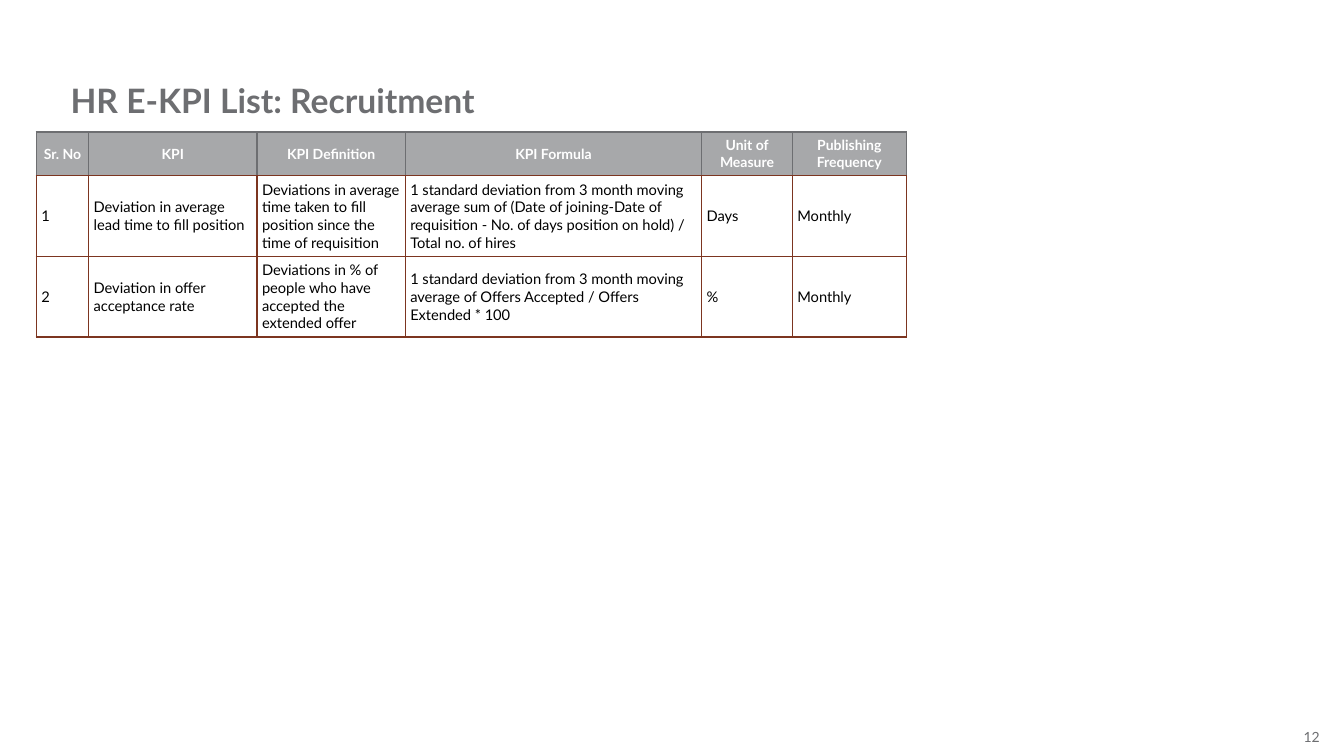
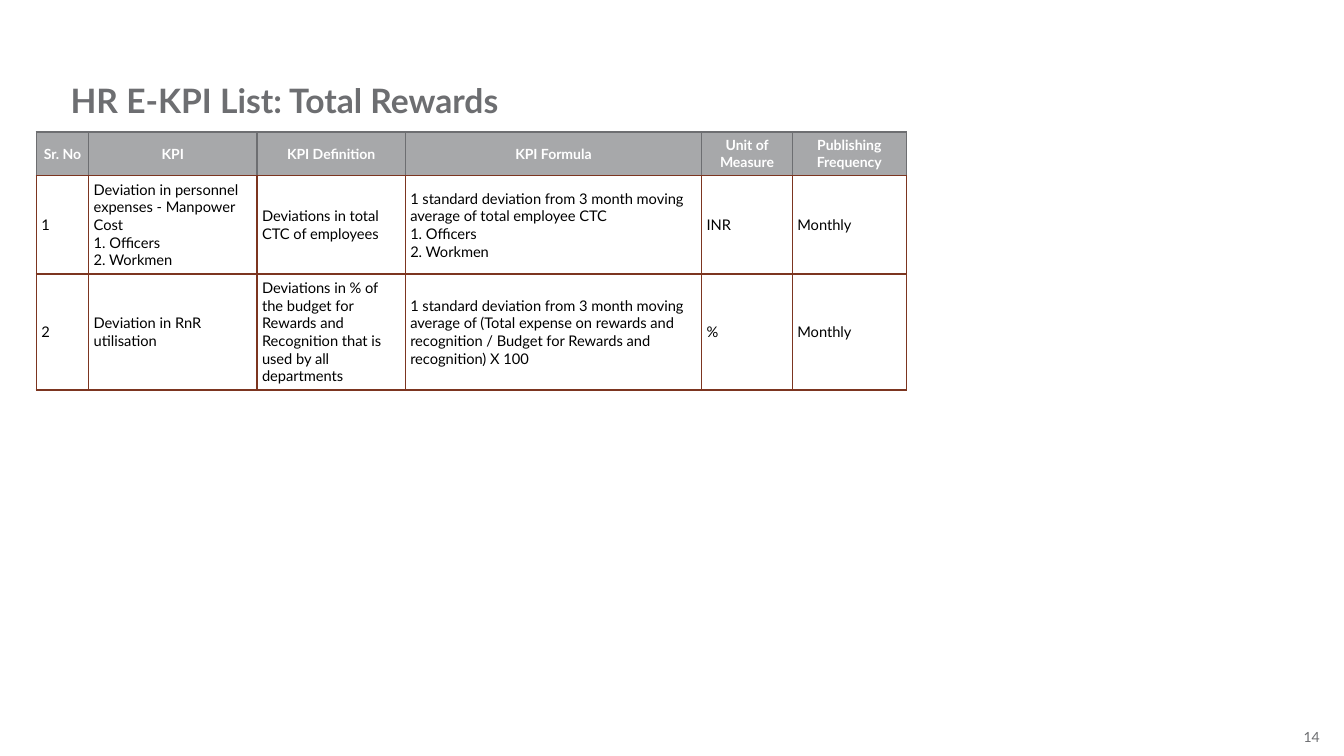
from lxml import etree
from pptx import Presentation
from pptx.dml.color import RGBColor
from pptx.enum.text import MSO_ANCHOR, MSO_AUTO_SIZE, PP_ALIGN
from pptx.oxml.ns import qn
from pptx.util import Inches, Pt

LEFT, CENTER, RIGHT = PP_ALIGN.LEFT, PP_ALIGN.CENTER, PP_ALIGN.RIGHT
TOP, MIDDLE = MSO_ANCHOR.TOP, MSO_ANCHOR.MIDDLE
FIT_SHAPE = MSO_AUTO_SIZE.SHAPE_TO_FIT_TEXT

FONT = "Lato"
COLORS = {
    "gray": "6D6E71",
    "header": "A7A8AA",
    "rust": "7C3520",
    "white": "FFFFFF",
    "black": "000000",
}
COLUMN_WIDTHS = [0.52, 1.67, 1.47, 2.94, 0.9, 1.13]
HEADER_HEIGHT = 0.43
CELL_MARGIN = 0.05
HEADINGS = ["Sr. No", "KPI", "KPI Definition", "KPI Formula",
            "Unit of Measure", "Publishing Frequency"]

# Each KPI: row height, KPI, definition, formula, unit of measure.
# "\v" is a line break, "\n" a new paragraph.
KPI_SLIDES = [
    {
        "title": "HR E-KPI List: Recruitment",
        "number": 12,
        "kpis": [
            (0.8, "Deviation in average lead time to fill position",
             "Deviations in average time taken to fill position since the "
             "time of requisition",
             "1 standard deviation from 3 month moving average sum of (Date of "
             "joining-Date of requisition - No. of days position on hold) / "
             "Total no. of hires",
             "Days"),
            (0.8, "Deviation in offer acceptance rate",
             "Deviations in % of people who have accepted the extended offer",
             "1 standard deviation from 3 month moving average of Offers "
             "Accepted / Offers Extended * 100",
             "%"),
        ],
    },
    {
        "title": "HR E-KPI List: Total Rewards",
        "number": 14,
        "kpis": [
            (0.97, "Deviation in personnel expenses - Manpower Cost"
             "\v1. Officers\v2. Workmen",
             "Deviations in total CTC of employees",
             "1 standard deviation from 3 month moving average of total "
             "employee CTC \n1. Officers\v2. Workmen",
             "INR"),
            (1.15, "Deviation in RnR utilisation",
             "Deviations in % of the budget for Rewards and Recognition that "
             "is used by all departments",
             "1 standard deviation from 3 month moving average of (Total "
             "expense on rewards and recognition / Budget for Rewards and "
             "recognition) X 100",
             "%"),
        ],
    },
]


class Deck:
    """Holds the shared style and the current slide."""

    def __init__(self):
        """Start a widescreen presentation."""
        self.presentation = Presentation()
        self.presentation.slide_width = Inches(13.33)
        self.presentation.slide_height = Inches(7.5)
        self.slide = None

    def add_slide(self, title, number):
        """Add a blank slide with its title and page number."""
        layout = self.presentation.slide_layouts[6]
        self.slide = self.presentation.slides.add_slide(layout)
        self.add_text(str(number), (12.92, 7.23, 0.17, 0.17), 10,
                      align=RIGHT, anchor=MIDDLE, wrap=False)
        self.add_text(title, (0.7, 0.79, 11.99, 0.4), 24, bold=True)

    def format_text(self, text_frame, size, color, bold, align):
        """Set alignment and font for all the text of a frame."""
        for paragraph in text_frame.paragraphs:
            paragraph.alignment = align
            for run in paragraph.runs:
                run.font.name = FONT
                run.font.size = Pt(size)
                run.font.bold = bold
                run.font.color.rgb = RGBColor.from_string(COLORS[color])

    def add_text(self, text, box, size, bold=False, align=LEFT, anchor=TOP,
                 wrap=True):
        """Add a gray text box without margins."""
        shape = self.slide.shapes.add_textbox(*map(Inches, box))
        text_frame = shape.text_frame
        text_frame.margin_left = text_frame.margin_right = 0
        text_frame.margin_top = text_frame.margin_bottom = 0
        text_frame.word_wrap = wrap
        text_frame.auto_size = FIT_SHAPE
        text_frame.vertical_anchor = anchor
        text_frame.text = text
        self.format_text(text_frame, size, "gray", bold, align)

    def add_borders(self, cell, colors):
        """Draw 1 pt borders on a cell: left, right, top, bottom."""
        properties = cell._tc.get_or_add_tcPr()
        for side, color in zip("LRTB", colors):
            line = etree.SubElement(properties, qn(f"a:ln{side}"),
                                    w=str(Pt(1)))
            fill = etree.SubElement(line, qn("a:solidFill"))
            etree.SubElement(fill, qn("a:srgbClr"), val=COLORS[color])

    def fill_cell(self, cell, text, is_header):
        """Write one cell in header or body style."""
        cell.margin_left = cell.margin_right = Inches(CELL_MARGIN)
        cell.margin_top = cell.margin_bottom = Inches(CELL_MARGIN)
        cell.vertical_anchor = MIDDLE
        cell.text_frame.text = text
        if is_header:
            self.add_borders(cell, ["gray", "gray", "gray", "rust"])
            cell.fill.solid()
            cell.fill.fore_color.rgb = RGBColor.from_string(COLORS["header"])
            self.format_text(cell.text_frame, 10, "white", True, CENTER)
        else:
            self.add_borders(cell, ["rust"] * 4)
            cell.fill.background()
            self.format_text(cell.text_frame, 10.5, "black", False, LEFT)

    def add_kpi_table(self, kpis):
        """Add the table of numbered KPIs, all published monthly."""
        heights = [HEADER_HEIGHT] + [kpi[0] for kpi in kpis]
        rows = [HEADINGS] + [[str(number), *kpi[1:], "Monthly"]
                             for number, kpi in enumerate(kpis, 1)]
        table = self.slide.shapes.add_table(
            len(rows), len(HEADINGS), Inches(0.36), Inches(1.31),
            Inches(sum(COLUMN_WIDTHS)), Inches(sum(heights))).table
        table.first_row = table.horz_banding = False
        for column, width in zip(table.columns, COLUMN_WIDTHS):
            column.width = Inches(width)
        for row_index, (height, texts) in enumerate(zip(heights, rows)):
            table.rows[row_index].height = Inches(height)
            for column_index, text in enumerate(texts):
                self.fill_cell(table.cell(row_index, column_index), text,
                               row_index == 0)


def main():
    """Build the KPI slides and save them."""
    deck = Deck()
    for content in KPI_SLIDES:
        deck.add_slide(content["title"], content["number"])
        deck.add_kpi_table(content["kpis"])
    deck.presentation.save("out.pptx")


main()
